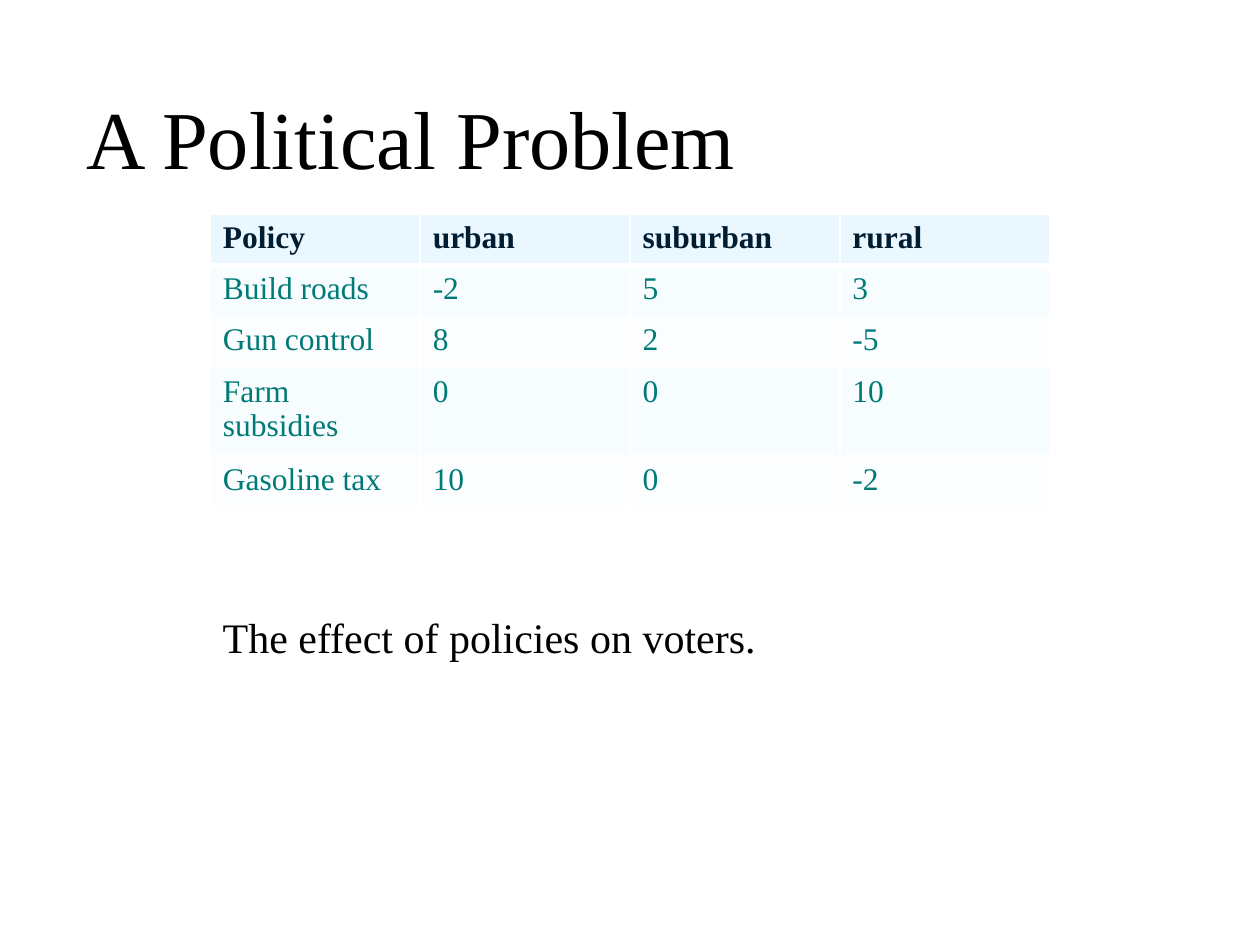
from pptx import Presentation
from pptx.dml.color import RGBColor
from pptx.enum.text import MSO_ANCHOR as Anchor
from pptx.oxml.xmlchemy import OxmlElement as Element
from pptx.util import Cm, Pt


def color(value):
    return RGBColor.from_string(value)


class SlideBuilder:
    font_name = "Times New Roman"
    ink = "000000"
    border = "FFFFFF"
    header_ink = "001D32"
    header_fill = "EBF7FF"
    body_ink = "007A77"
    band_fills = ("F7FCFF", "FBFDFF")

    def __init__(self, deck):
        self.slide = deck.slides.add_slide(deck.slide_layouts[6])

    def style_text(self, frame, text, size, ink, bold=False):
        frame.text = text
        for span in frame.paragraphs[0].runs:
            span.font.name = self.font_name
            span.font.size = Pt(size)
            span.font.bold = bold
            span.font.color.rgb = color(ink)

    def text(self, text, left, top, width, height, size, margin_top):
        box = self.slide.shapes.add_textbox(Cm(left), Cm(top), Cm(width), Cm(height))
        frame = box.text_frame
        frame.word_wrap = True
        frame.vertical_anchor = Anchor.TOP
        frame.margin_top = Cm(margin_top)
        frame.margin_bottom = 0
        self.style_text(frame, text, size, self.ink)

    def cell_borders(self, cell, widths):
        properties = cell._tc.get_or_add_tcPr()
        for side, width in widths.items():
            line = Element(f"a:ln{side}")
            line.set("w", str(Pt(width)))
            fill = Element("a:solidFill")
            shade = Element("a:srgbClr")
            shade.set("val", self.border)
            fill.append(shade)
            line.append(fill)
            properties.append(line)

    def table(self, rows, left, top, column_width, row_heights):
        columns = len(rows[0])
        table = self.slide.shapes.add_table(
            len(rows), columns, Cm(left), Cm(top),
            Cm(column_width * columns), Cm(sum(row_heights))).table
        for column in table.columns:
            column.width = Cm(column_width)
        for index, (values, height) in enumerate(zip(rows, row_heights)):
            table.rows[index].height = Cm(height)
            header = index == 0
            ink = self.header_ink if header else self.body_ink
            fill = self.header_fill if header else self.band_fills[(index - 1) % 2]
            widths = {"L": 1, "R": 1, "T": 3 if index == 1 else 1, "B": 3 if header else 1}
            for position, value in enumerate(values):
                cell = table.cell(index, position)
                self.cell_borders(cell, widths)
                cell.fill.solid()
                cell.fill.fore_color.rgb = color(fill)
                self.style_text(cell.text_frame, value, 18, ink, header)


deck = Presentation()
deck.slide_width, deck.slide_height = Cm(25.4), Cm(19.05)
builder = SlideBuilder(deck)

builder.text("A Political Problem", 1.5, 1.42, 15.5, 1.85, size=47, margin_top=0.33)
policy_effects = [
    ("Policy", "urban", "suburban", "rural"),
    ("Build roads", "-2", "5", "3"),
    ("Gun control", "8", "2", "-5"),
    ("Farm subsidies", "0", "0", "10"),
    ("Gasoline tax", "10", "0", "-2"),
]
builder.table(policy_effects, 4.24, 4.32, 4.23, [1.03, 1.03, 1.03, 1.78, 1.03])
builder.text("The effect of policies on voters.", 4.24, 12.12, 22.4, 1.3, size=24, margin_top=0.2)

deck.save("out.pptx")
